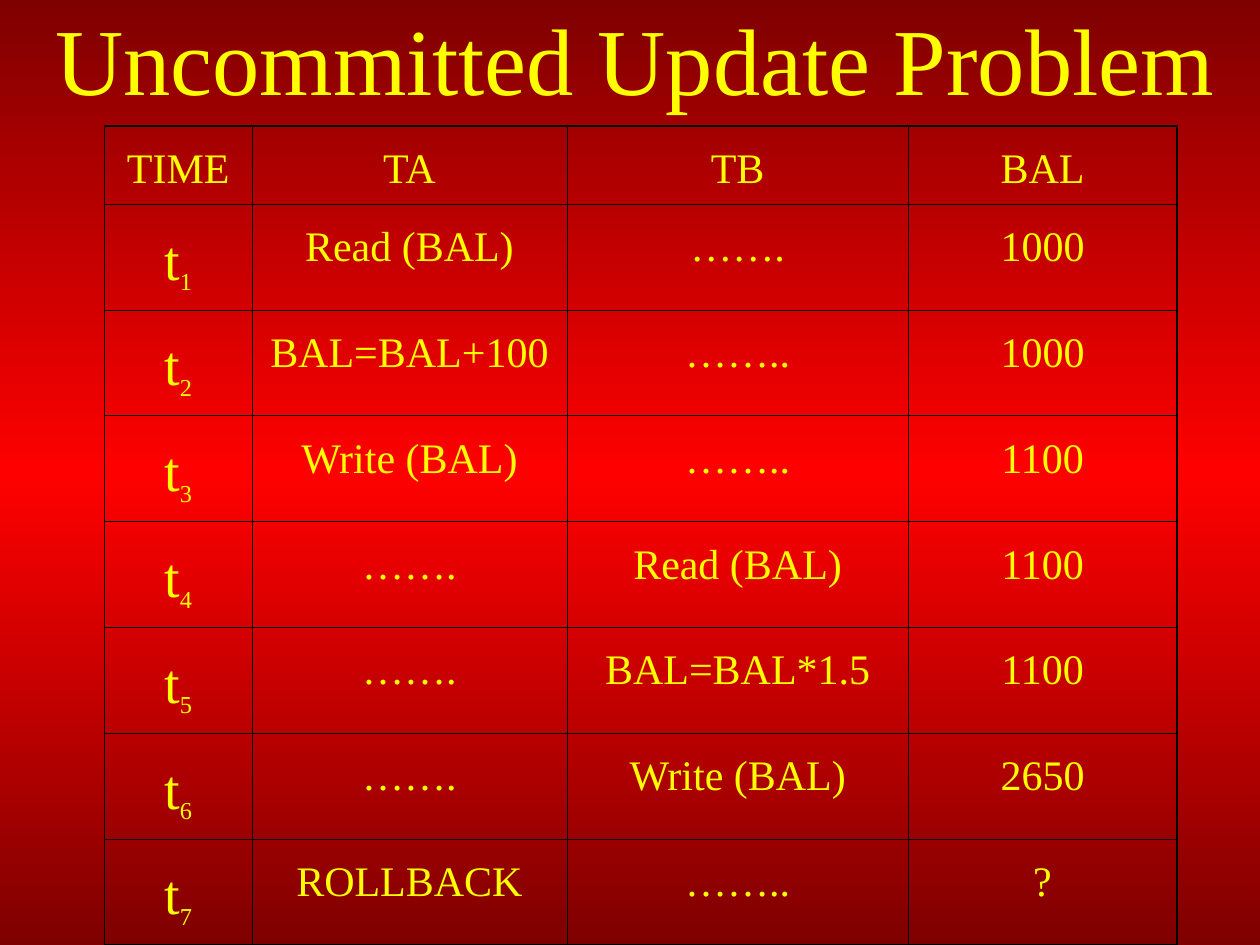
from copy import deepcopy

from lxml import etree
from pptx import Presentation
from pptx.dml.color import RGBColor
from pptx.enum.text import MSO_ANCHOR, MSO_AUTO_SIZE, PP_ALIGN
from pptx.oxml.ns import qn
from pptx.util import Inches, Pt

CENTER = PP_ALIGN.CENTER
MIDDLE = MSO_ANCHOR.MIDDLE
TOP = MSO_ANCHOR.TOP
NO_FIT = MSO_AUTO_SIZE.NONE

COLORS = {"edge": "7F0000", "glow": "FF0000", "text": "FFFF00", "border": "000000"}
FONT = "Times New Roman"
TITLE_BOX = (0.33, 0, 9.42, 0.92)
TABLE_BOX = (0.83, 1, 8.5, 6.5)
COLUMN_WIDTHS = (1.17, 2.5, 2.71, 2.13)
HEADER_HEIGHT, STEP_HEIGHT = 0.62, 0.84
THIN, THICK = 0.45, 1.08

HEADER = ("TIME", "TA", "TB", "BAL")
STEPS = (
    ("Read (BAL)", "…….", "1000"),
    ("BAL=BAL+100", "……..", "1000"),
    ("Write (BAL)", "……..", "1100"),
    ("…….", "Read (BAL)", "1100"),
    ("…….", "BAL=BAL*1.5", "1100"),
    ("…….", "Write (BAL)", "2650"),
    ("ROLLBACK", "……..", "?"),
)


def add_span(para, text, size, baseline=None):
    """Add one formatted run, lowered or raised by a baseline shift."""
    span = para.add_run()
    span.text = text
    span.font.name = FONT
    span.font.size = Pt(size)
    span.font.color.rgb = RGBColor.from_string(COLORS["text"])
    if baseline is not None:
        span._r.get_or_add_rPr().set("baseline", str(baseline))


def paint_background(page):
    """Fill the page with a vertical gradient that glows in the middle."""
    fill = page.background.fill
    fill.gradient()
    fill.gradient_angle = 270
    first, last = fill.gradient_stops
    for stop, position, name in ((first, 0, "edge"), (last, 0.5, "glow")):
        stop.position = position
        stop.color.rgb = RGBColor.from_string(COLORS[name])
    stop_list = page.background._cSld.find(".//" + qn("a:gsLst"))
    closing = deepcopy(stop_list[0])
    closing.set("pos", "100000")
    stop_list.append(closing)


def place_title(page, box, text):
    """Put the page title into its placeholder."""
    title = page.shapes.title
    title.left, title.top, title.width, title.height = map(Inches, box)
    frame = title.text_frame
    frame.auto_size = NO_FIT
    frame.word_wrap = True
    frame.vertical_anchor = MIDDLE
    para = frame.paragraphs[0]
    para.alignment = CENTER
    add_span(para, text, 54)


def draw_borders(cell, widths):
    """Give a cell its left, right, top and bottom lines."""
    properties = cell._tc.get_or_add_tcPr()
    for side, width in zip("LRTB", widths):
        line = etree.SubElement(properties, qn(f"a:ln{side}"), w=str(Pt(width)))
        solid = etree.SubElement(line, qn("a:solidFill"))
        etree.SubElement(solid, qn("a:srgbClr"), val=COLORS["border"])


def fill_cell(cell, spans, widths):
    """Write the spans of one cell and draw its outline."""
    draw_borders(cell, widths)
    cell.fill.background()
    cell.vertical_anchor = TOP
    para = cell.text_frame.paragraphs[0]
    para.alignment = CENTER
    para.line_spacing = 1.3
    para.space_before = Pt(6)
    for span in spans:
        add_span(para, *span)


def place_schedule(page, box):
    """Lay out the transaction schedule as a table."""
    rows = [[[(label, 24)] for label in HEADER]]
    for number, step in enumerate(STEPS, 1):
        time = [("t", 32), (str(number), 24, -25000)]
        rows.append([time] + [[(text, 24)] for text in step])
    last_row, last_column = len(rows) - 1, len(HEADER) - 1

    table = page.shapes.add_table(len(rows), len(HEADER), *map(Inches, box)).table
    table.first_row = table.horz_banding = False
    for column, width in zip(table.columns, COLUMN_WIDTHS):
        column.width = Inches(width)
    for r, spans_by_column in enumerate(rows):
        table.rows[r].height = Inches(STEP_HEIGHT if r else HEADER_HEIGHT)
        for c, spans in enumerate(spans_by_column):
            outer = (c == 0, c == last_column, r == 0, r == last_row)
            widths = [THICK if is_outer else THIN for is_outer in outer]
            fill_cell(table.cell(r, c), spans, widths)


def main():
    """Build and save the deck."""
    deck = Presentation()
    deck.slide_width, deck.slide_height = Inches(10), Inches(7.5)
    page = deck.slides.add_slide(deck.slide_layouts[5])
    paint_background(page)
    place_title(page, TITLE_BOX, "Uncommitted Update Problem")
    place_schedule(page, TABLE_BOX)
    deck.save("out.pptx")


if __name__ == "__main__":
    main()
